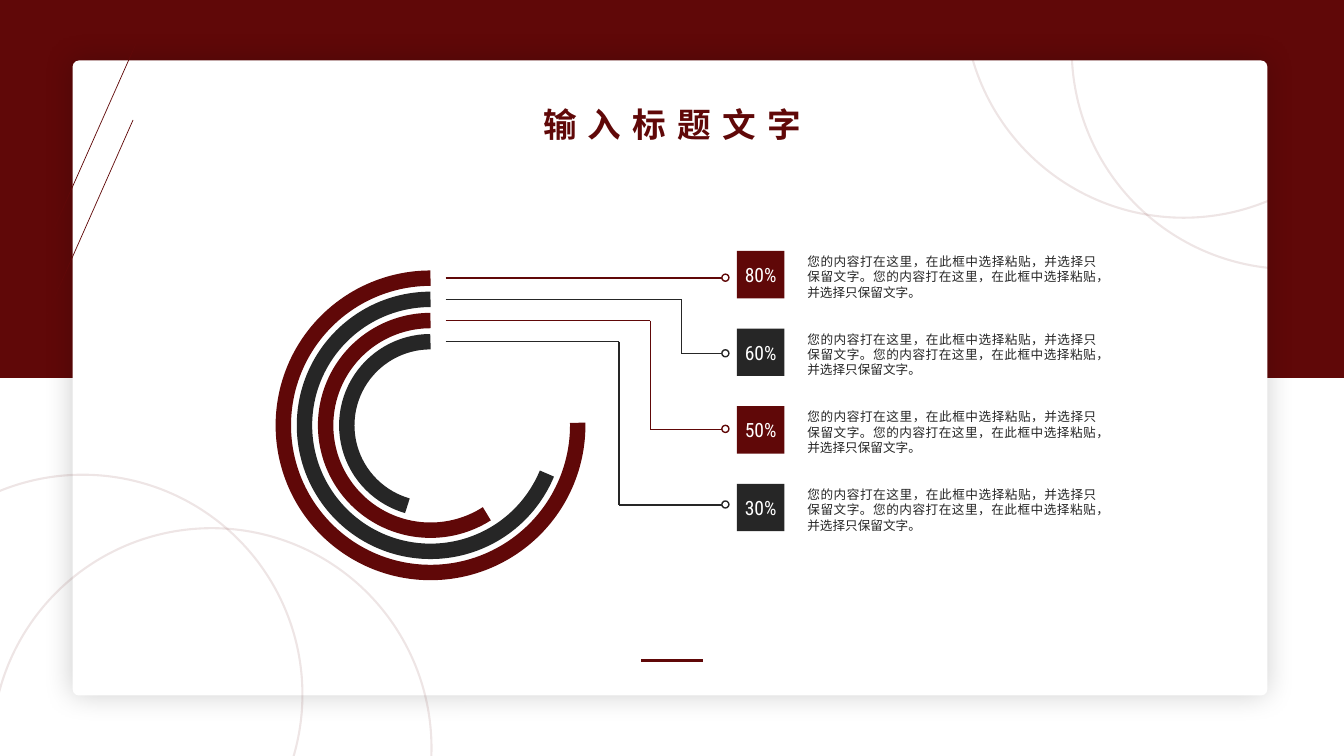
from lxml import etree
from pptx import Presentation
from pptx import util as u
from pptx.dml import color
from pptx.enum import shapes, text
from pptx.oxml import ns

RED, DARK, WHITE = "600808", "262626", "FFFFFF"
CJK, ROBOTO = "Noto Sans CJK SC", "Roboto Condensed"
BODY = "您的内容打在这里，在此框中选择粘贴，并选择只保留文字。" * 2
KIND = shapes.MSO_SHAPE

deck = Presentation()
deck.slide_width, deck.slide_height = u.Inches(13.33), u.Inches(7.5)
slide = deck.slides.add_slide(deck.slide_layouts[5])


def draw(kind, x, y, w, h, fill=None, line=None, width=1, alpha=None):
    if kind == "line":
        item = slide.shapes.add_connector(
            shapes.MSO_CONNECTOR.STRAIGHT, *[u.Inches(v) for v in (x, y, w, h)])
        etree.SubElement(item._element.spPr, ns.qn("a:effectLst"))
    else:
        item = slide.shapes.add_shape(kind, *[u.Inches(v) for v in (x, y, w, h)])
        item.shadow.inherit = False
        if fill:
            item.fill.solid()
            item.fill.fore_color.rgb = color.RGBColor.from_string(fill)
        else:
            item.fill.background()
    if line:
        item.line.color.rgb = color.RGBColor.from_string(line)
        item.line.width = u.Pt(width)
        if alpha:
            tint = item.line._ln.find(".//" + ns.qn("a:srgbClr"))
            etree.SubElement(tint, ns.qn("a:alpha"), val=str(alpha * 1000))
    else:
        item.line.fill.background()
    return item


def write(item, words, size, font, tint, align="CENTER", bold=False, gap=0,
          lead=None, pad=0.1, anchor="MIDDLE", wrap=True):
    frame = item.text_frame
    frame.word_wrap = wrap
    frame.auto_size = text.MSO_AUTO_SIZE.NONE
    frame.vertical_anchor = text.MSO_ANCHOR[anchor]
    frame.margin_left = frame.margin_right = u.Inches(pad)
    frame.margin_top = frame.margin_bottom = u.Inches(pad / 2)
    para = frame.paragraphs[0]
    para.alignment = text.PP_ALIGN[align]
    if lead:
        para.line_spacing = u.Pt(lead)
    run = para.add_run()
    run.text = words
    run.font.name, run.font.size, run.font.bold = font, u.Pt(size), bold
    run.font.color.rgb = color.RGBColor.from_string(tint)
    props = run.font._element
    etree.SubElement(props, ns.qn("a:ea"), typeface=font)
    if gap:
        props.set("spc", str(gap * 100))


draw(KIND.RECTANGLE, 0, 0, 13.33, 3.75, RED)
card = draw(KIND.ROUNDED_RECTANGLE, 0.72, 0.6, 11.85, 6.3, WHITE)
card.adjustments[0] = 0.01
glow = etree.SubElement(card._element.spPr.find(ns.qn("a:effectLst")),
                        ns.qn("a:outerShdw"), blurRad=str(u.Pt(20)),
                        dist="0", dir="0", algn="ctr", rotWithShape="0")
shade = etree.SubElement(glow, ns.qn("a:srgbClr"), val="000000")
etree.SubElement(shade, ns.qn("a:alpha"), val="20000")

draw("line", 6.36, 6.55, 6.97, 6.55, line=RED, width=2)

title = slide.shapes.title
title.left, title.top, title.width, title.height = [
    u.Inches(v) for v in (5.22, 0.98, 2.89, 0.5)]
write(title, "输入标题文字", 24, CJK, RED, bold=True, gap=8, wrap=False)
card._element.addnext(title._element)

draw("line", 1.35, 0.43, 0.53, 2.28, line=RED, width=0.5)
draw("line", 1.32, 1.19, 0.25, 3.61, line=RED, width=0.5)
for x, y in [(-0.08, 5.24), (-1.36, 4.71), (10.63, -1.69), (9.56, -2.2)]:
    draw(KIND.OVAL, x, y, 4.36, 4.36, line=RED, width=1.5, alpha=10)

rows = [("80%", 359), ("60%", 22.5), ("50%", 57.5), ("30%", 106)]
for i, (share, start) in enumerate(rows):
    tint = (RED, DARK)[i % 2]
    rad = 1.46 - 0.21 * i
    arc = draw(KIND.ARC, 4.27 - rad, 4.22 - rad, 2 * rad, 2 * rad,
               line=tint, width=11)
    arc.adjustments[0], arc.adjustments[1] = start * 0.6, 270 * 0.6

    top, end, bend = 2.76 + 0.21 * i, 2.76 + 0.75 * i, 7.07 - 0.31 * i
    stops = [(4.42, top), (bend, top), (bend, end), (7.16, end)]
    if i == 0:
        stops = [stops[0], stops[-1]]
    for a, b in zip(stops, stops[1:]):
        draw("line", *a, *b, line=tint)
    draw(KIND.OVAL, 7.16, end - 0.04, 0.07, 0.07, WHITE, tint)

    box = draw(KIND.RECTANGLE, 7.31, 2.49 + 0.77 * i, 0.47, 0.47, tint)
    write(box, share, 14, ROBOTO, WHITE, pad=0, wrap=False)
    note = slide.shapes.add_textbox(u.Inches(7.91), u.Inches(2.47 + 0.77 * i),
                                    u.Inches(3.06), u.Inches(0.56))
    write(note, BODY, 9, CJK, DARK, align="JUSTIFY", lead=10.9, anchor="TOP")

deck.save("out.pptx")
